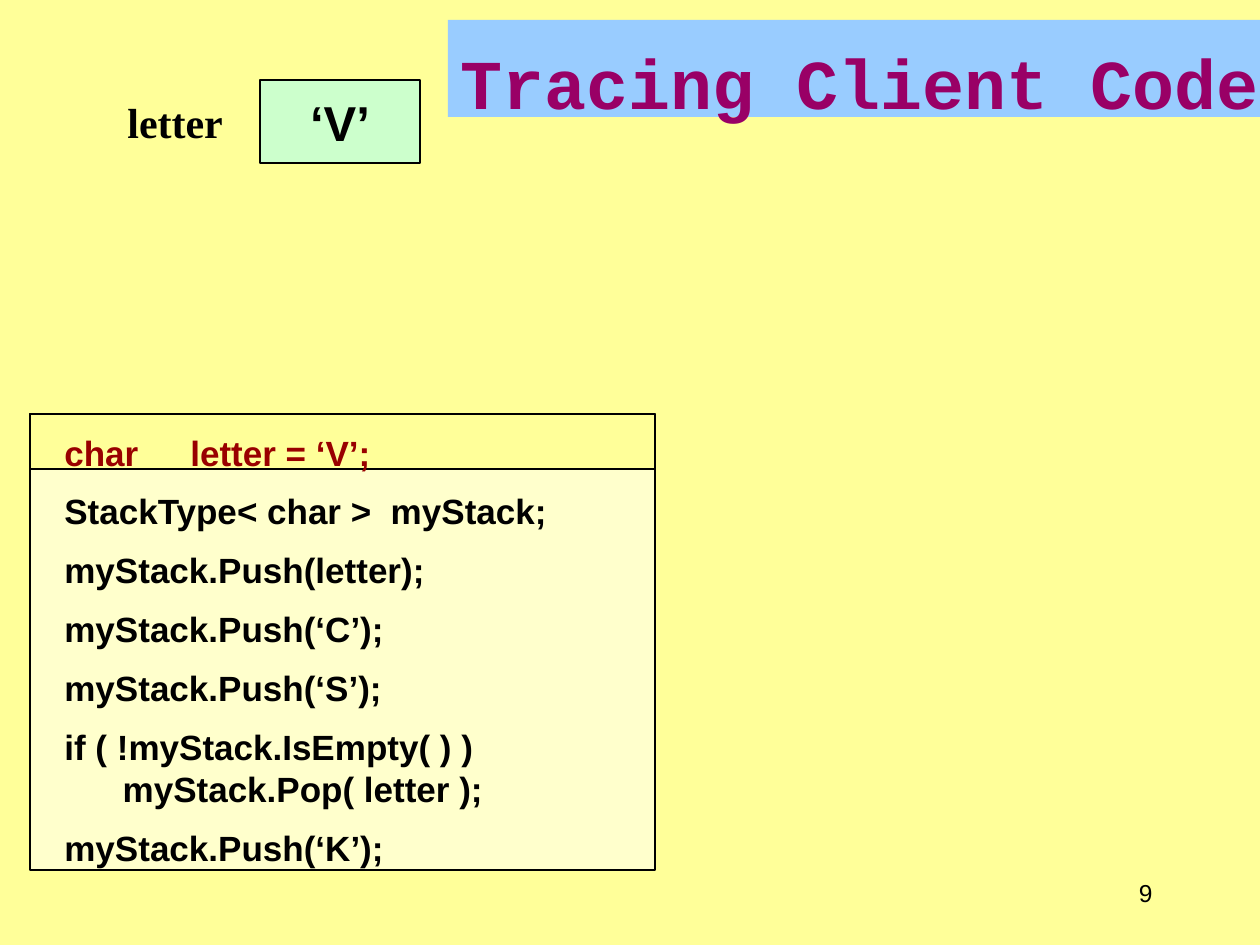
from pptx import Presentation
from pptx.dml.color import RGBColor
from pptx.enum.shapes import MSO_SHAPE
from pptx.enum.text import MSO_ANCHOR, MSO_AUTO_SIZE, PP_ALIGN
from pptx.util import Emu, Pt

PX = 914400 // 126
RECT = MSO_SHAPE.RECTANGLE
TOP, MIDDLE = MSO_ANCHOR.TOP, MSO_ANCHOR.MIDDLE
LEFT, CENTER, RIGHT = PP_ALIGN.LEFT, PP_ALIGN.CENTER, PP_ALIGN.RIGHT
TITLE_ONLY = 5
BLACK, DARK_RED = "000000", "990000"
CODE = [
    "char\tletter = ‘V’;",
    "StackType< char >  myStack;",
    "myStack.Push(letter);",
    "myStack.Push(‘C’);",
    "myStack.Push(‘S’);",
    "if ( !myStack.IsEmpty( ) )",
    "      myStack.Pop( letter );",
    "myStack.Push(‘K’);",
]


def px(*values):
    return [Emu(v * PX) for v in values]


def rgb(color):
    return RGBColor.from_string(color)


def set_fill(sp, color):
    sp.fill.solid()
    sp.fill.fore_color.rgb = rgb(color)


def add_box(s, box, color):
    sp = s.shapes.add_shape(RECT, *px(*box))
    sp.shadow.inherit = False
    set_fill(sp, color)
    sp.line.color.rgb = rgb(BLACK)
    sp.line.width = Pt(1)
    return sp


def set_frame(sp, anchor=TOP, wrap=False):
    tf = sp.text_frame
    tf.word_wrap = wrap
    tf.auto_size = MSO_AUTO_SIZE.NONE
    tf.vertical_anchor = anchor
    return tf


def add_text(p, text, size, color=BLACK, font="Arial", bold=True, align=LEFT):
    p.alignment = align
    r = p.add_run()
    r.text = text
    r.font.name = font
    r.font.size = Pt(size)
    r.font.bold = bold
    r.font.color.rgb = rgb(color)


def add_title(s, box):
    sp = s.shapes.title
    sp.left, sp.top, sp.width, sp.height = px(*box)
    set_fill(sp, "99CCFF")
    tf = set_frame(sp)
    tf.margin_top, tf.margin_bottom = px(20, 0)
    add_text(tf.paragraphs[0], "Tracing Client Code", 40, "990066",
             "Courier New", align=CENTER)


def add_variable(s, box, name, value):
    """Draw a variable's name with its value in a cell on the right."""
    x, y, w, h = box
    cell_w = 160
    label = s.shapes.add_textbox(*px(x, y, w - cell_w, h))
    add_text(set_frame(label, MIDDLE).paragraphs[0], name, 24,
             font="Times New Roman")
    cell = add_box(s, (x + w - cell_w, y, cell_w, h), "CCFFCC")
    add_text(set_frame(cell, MIDDLE).paragraphs[0], value, 28, align=CENTER)


def add_code(s, box, lines, current):
    """List the code in a panel, with the current line in red."""
    x, y, w, h = box
    add_box(s, box, "FFFFCC")
    add_box(s, (x, y, w, 55), "FFFF99")
    listing = s.shapes.add_textbox(*px(x + 22, y + 11, w - 6, h + 10))
    tf = set_frame(listing, wrap=True)
    for i, line in enumerate(lines):
        p = tf.add_paragraph() if i else tf.paragraphs[0]
        p.line_spacing = Pt(24)
        if i and not line.startswith(" "):
            p.space_before = Pt(9.6)
        add_text(p, line, 20, DARK_RED if i == current else BLACK)


def add_page_number(s, box, number):
    sp = s.shapes.add_textbox(*px(*box))
    add_text(set_frame(sp, MIDDLE).paragraphs[0], number, 14,
             bold=False, align=RIGHT)


def main():
    prs = Presentation()
    prs.slide_width, prs.slide_height = px(1260, 945)
    s = prs.slides.add_slide(prs.slide_layouts[TITLE_ONLY])
    set_fill(s.background, "FFFF99")
    add_title(s, (448, 20, 823, 97))
    add_variable(s, (115, 80, 305, 83), "letter", "‘V’")
    add_code(s, (30, 414, 625, 456), CODE, current=0)
    add_page_number(s, (1081, 861, 84, 63), "9")
    prs.save("out.pptx")


if __name__ == "__main__":
    main()
